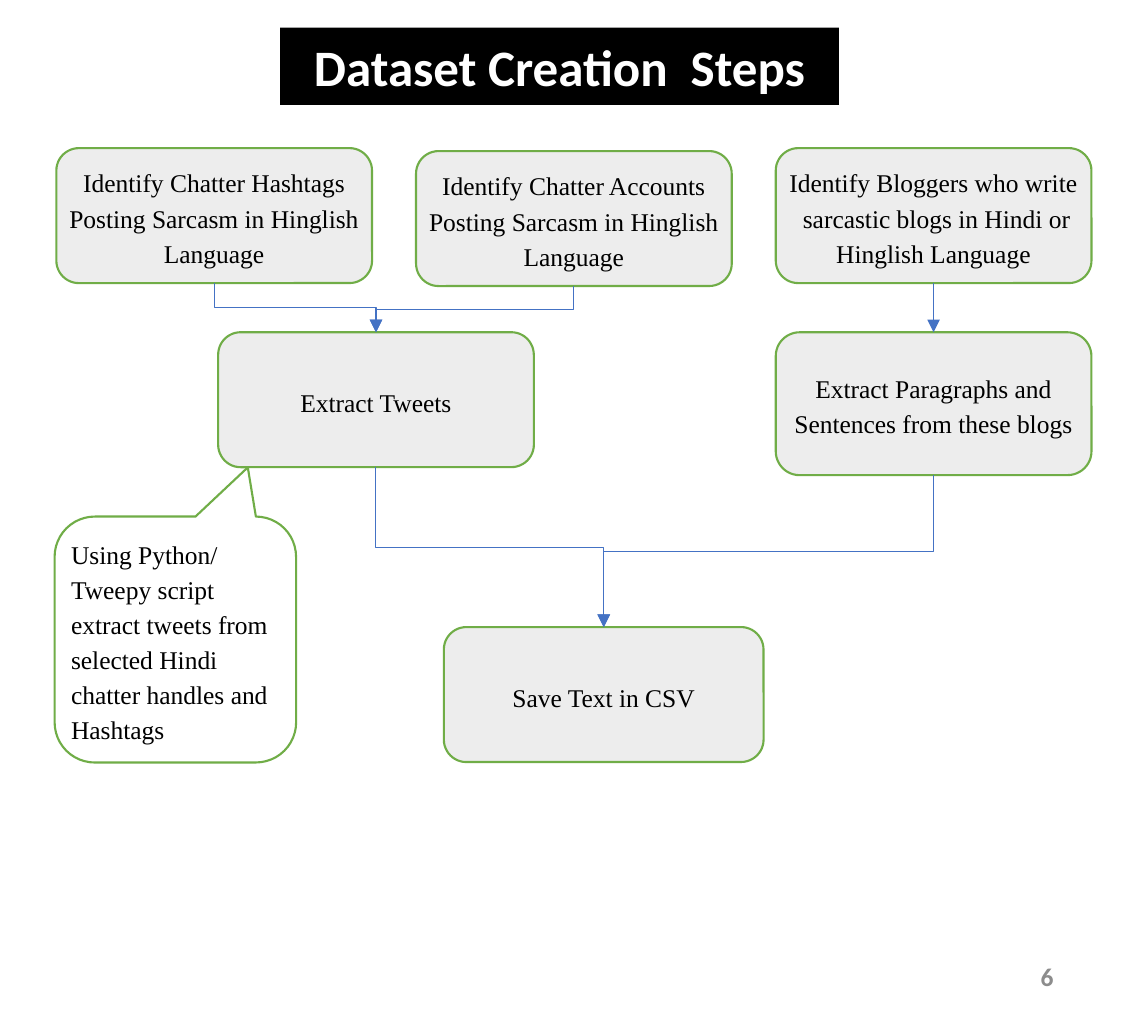
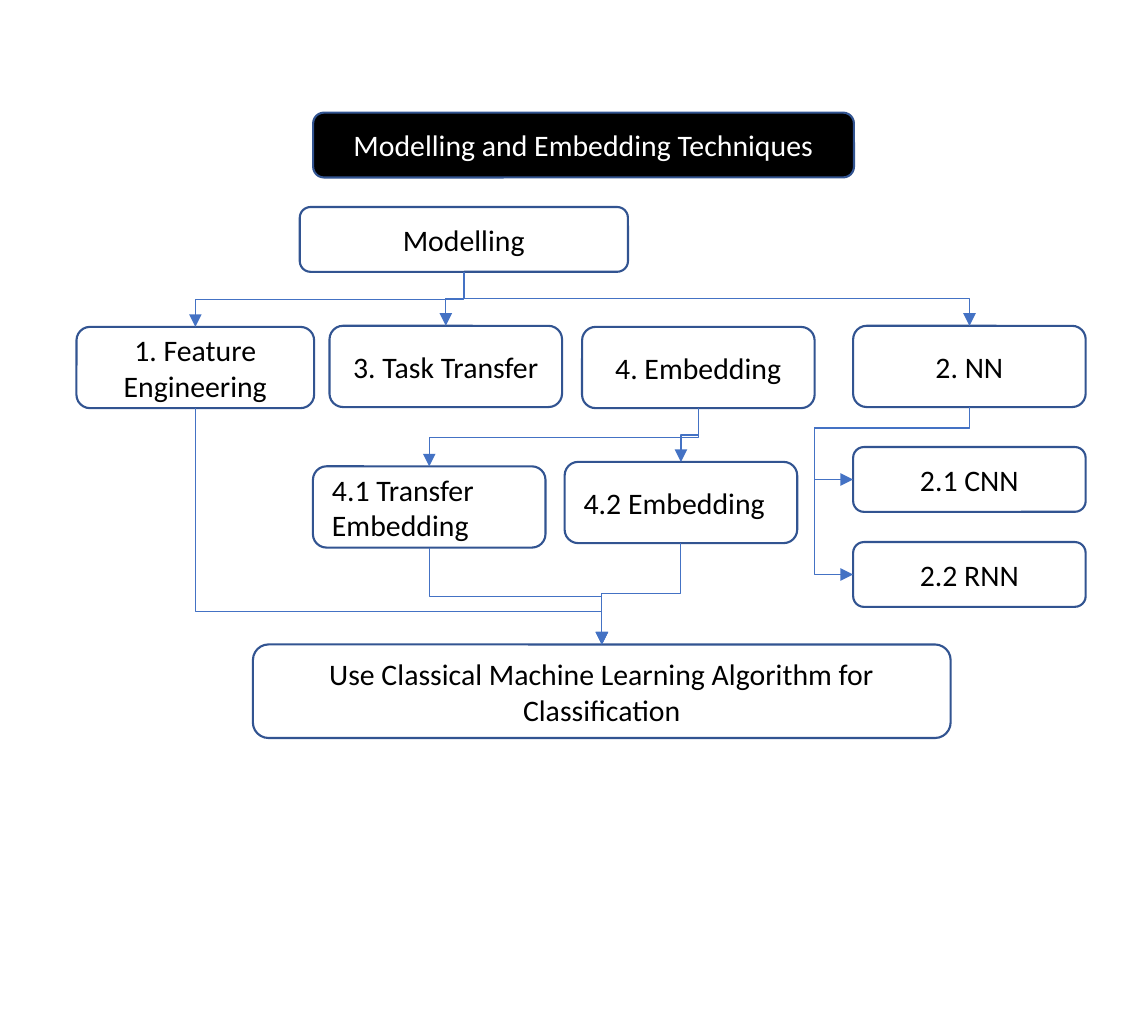
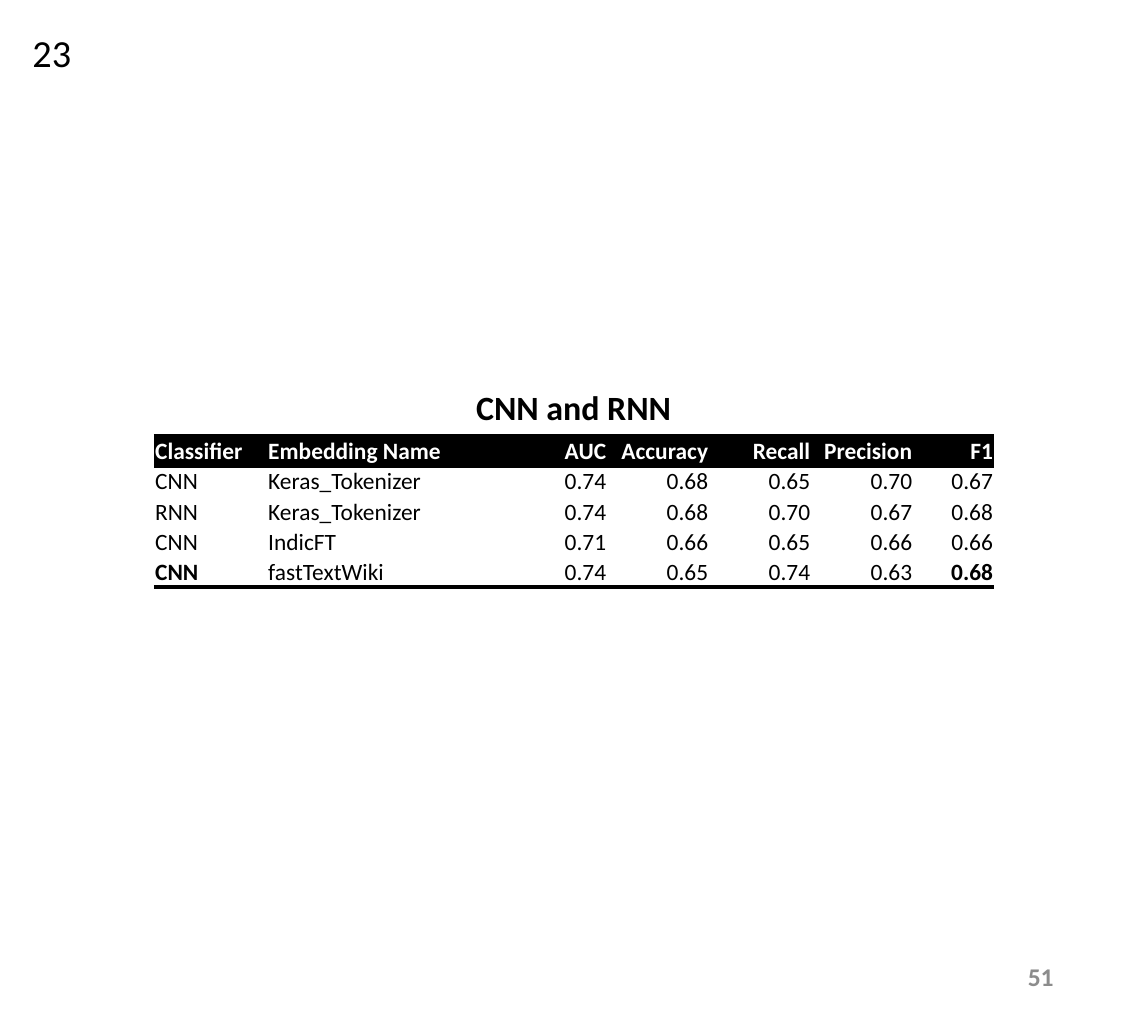
from pptx import Presentation
from pptx.dml.color import RGBColor
from pptx.enum import shapes, text
from pptx.oxml import ns, xmlchemy
from pptx.util import Pt

BLACK, WHITE, GREY = "000000", "FFFFFF", "8C8C8C"
PALE, GREEN, NAVY, BLUE = "EDEDED", "70AD47", "325491", "4472C4"
SANS, SERIF = "Calibri", "Times New Roman"
LEFT, CENTER, RIGHT = text.PP_ALIGN.LEFT, text.PP_ALIGN.CENTER, text.PP_ALIGN.RIGHT
MIDDLE, BOTTOM = text.MSO_ANCHOR.MIDDLE, text.MSO_ANCHOR.BOTTOM
KIND = shapes.MSO_SHAPE
TOP_SITE, LEFT_SITE, BOTTOM_SITE = 0, 1, 2
NO_TABLE_STYLE = "{2D5ABB26-0587-4C30-8999-92F81FD0307C}"

# Boxes: key -> (words, left, top, width, height), in points
STEP_W, STEP_H, STEP_GAP = 148.5, 63.5, 20.7
STEP_X = [26.5 + i * (STEP_W + STEP_GAP) for i in range(3)]
STEPS = {
    "hashtags": ("Identify Chatter Hashtags Posting Sarcasm in Hinglish Language",
                 STEP_X[0], 69.7, STEP_W, STEP_H),
    "accounts": ("Identify Chatter Accounts Posting Sarcasm in Hinglish Language",
                 STEP_X[1], 71.1, STEP_W, STEP_H),
    "bloggers": ("Identify Bloggers who write  sarcastic blogs in Hindi or Hinglish Language",
                 STEP_X[2], 69.7, STEP_W, STEP_H),
    "tweets": ("Extract Tweets", 102.6, 156.3, STEP_W, STEP_H),
    "paragraphs": ("Extract Paragraphs and Sentences from these blogs",
                   STEP_X[2], 156.3, STEP_W, 67.2),
    "save": ("Save Text in CSV", 208.8, 295, 150.4, STEP_H),
}
STEP_LINKS = [("hashtags", "tweets"), ("accounts", "tweets"), ("bloggers", "paragraphs"),
              ("tweets", "save"), ("paragraphs", "save")]
SCRIPT_NOTE = ("Using Python/ Tweepy script extract tweets from selected Hindi "
               "chatter handles and Hashtags")

MODEL_W, MODEL_H, LOW_H, NN_X = 109.4, 38.2, 30.5, 401.3
MODEL_TITLE_PLACE = (147.3, 53, 254.4, LOW_H)
MODELS = {
    "modelling": ("Modelling", 141, 97.4, 154.4, LOW_H),
    "features": ("1. Feature Engineering", 36, 153.8, 111.8, MODEL_H),
    "task": ("3. Task Transfer", 155, 153.3, MODEL_W, MODEL_H),
    "embedding": ("4. Embedding", 273.8, 153.8, MODEL_W, MODEL_H),
    "nn": ("2. NN", NN_X, 153.3, MODEL_W, MODEL_H),
    "transfer": ("4.1 Transfer Embedding", 147.2, 219.4, MODEL_W, MODEL_H),
    "embedding2": ("4.2 Embedding", 265.6, 217.3, MODEL_W, MODEL_H),
    "cnn": ("2.1 CNN", NN_X, 210.3, MODEL_W, LOW_H),
    "rnn": ("2.2 RNN", NN_X, 255, MODEL_W, LOW_H),
    "classify": ("Use Classical Machine Learning Algorithm for Classification",
                 119, 303.2, 328.2, 44),
}
LEFT_ALIGNED = {"transfer", "embedding2"}
# Links: source, target, optional bend positions; two bends enter from the left
MODEL_LINKS = [
    ("modelling", "features"), ("modelling", "task"), ("modelling", "nn"),
    ("embedding", "transfer"), ("embedding", "embedding2"),
    ("nn", "cnn", 0.28, 1.33), ("nn", "rnn", 0.13, 1.33),
    ("transfer", "classify"), ("embedding2", "classify"),
    ("features", "classify", 0.86),
]

SCORES = [
    ("Classifier", "Embedding Name", "AUC", "Accuracy", "Recall", "Precision", "F1"),
    ("CNN", "Keras_Tokenizer", "0.74", "0.68", "0.65", "0.70", "0.67"),
    ("RNN", "Keras_Tokenizer", "0.74", "0.68", "0.70", "0.67", "0.68"),
    ("CNN", "IndicFT", "0.71", "0.66", "0.65", "0.66", "0.66"),
    ("CNN", "fastTextWiki", "0.74", "0.65", "0.74", "0.63", "0.68"),
]
SCORE_WIDTHS = [53.2, 112.2, 48, 48, 48, 48, 38]
SCORE_ROW = 14.25


def rgb(value):
    return RGBColor.from_string(value)


def points(*values):
    return [Pt(value) for value in values]


def add_xml(parent, tag, **attributes):
    child = xmlchemy.OxmlElement(tag)
    for name, value in attributes.items():
        child.set(name, str(value))
    parent.append(child)
    return child


def paint(shape, fill):
    shape.fill.solid()
    shape.fill.fore_color.rgb = rgb(fill)


def write(frame, words, size, color=BLACK, font=SANS, bold=False, align=CENTER, spacing=None):
    frame.text = words
    paragraph = frame.paragraphs[0]
    paragraph.alignment = align
    paragraph.line_spacing = spacing
    paragraph.font.name, paragraph.font.size = font, Pt(size)
    paragraph.font.bold, paragraph.font.color.rgb = bold, rgb(color)


def add_title(slide, words, place, size, color=BLACK, bold=True):
    title = slide.shapes.title
    title.left, title.top, title.width, title.height = points(*place)
    write(title.text_frame, words, size, color, bold=bold)
    title.text_frame.auto_size = text.MSO_AUTO_SIZE.NONE
    title.text_frame.vertical_anchor = MIDDLE
    return title


def add_label(slide, words, place, wrap=True, **style):
    frame = slide.shapes.add_textbox(*points(*place)).text_frame
    frame.word_wrap = wrap
    frame.vertical_anchor = MIDDLE
    write(frame, words, **style)


def add_page_number(slide, number):
    add_label(slide, number, (381, 446.4, 121.7, 26), size=12, color=GREY, bold=True, align=RIGHT)


def add_plate(slide, kind, place, fill, line):
    plate = slide.shapes.add_shape(kind, *points(*place))
    plate.shadow.inherit = False
    paint(plate, fill)
    plate.line.color.rgb = rgb(line)
    plate.line.width = Pt(1)
    return plate


def add_box(slide, kind, words, place, fill, line, margins=None, **style):
    box = add_plate(slide, kind, place, fill, line)
    frame = box.text_frame
    frame.word_wrap = True
    frame.vertical_anchor = MIDDLE
    if margins:
        frame.margin_left = frame.margin_right = Pt(margins[0])
        frame.margin_top = frame.margin_bottom = Pt(margins[1])
    write(frame, words, **style)
    return box


def link(slide, source, target, *bends):
    """Arrow leaving the bottom of source, glued at both ends."""
    from_left = len(bends) == 2
    aligned = source.left + source.width // 2 == target.left + target.width // 2
    straight = aligned and not from_left
    kind = shapes.MSO_CONNECTOR.STRAIGHT if straight else shapes.MSO_CONNECTOR.ELBOW
    arrow = slide.shapes.add_connector(kind, 0, 0, 0, 0)
    arrow.begin_connect(source, BOTTOM_SITE)
    arrow.end_connect(target, LEFT_SITE if from_left else TOP_SITE)
    properties = arrow.element.spPr
    if not straight:
        turn_downward(arrow, properties)
        geometry = properties.find(ns.qn("a:prstGeom"))
        geometry.set("prst", "bentConnector4" if from_left else "bentConnector3")
        guides = geometry.find(ns.qn("a:avLst"))
        for i, bend in enumerate(bends, 1):
            add_xml(guides, "a:gd", name=f"adj{i}", fmla=f"val {round(bend * 100000)}")
    arrow.line.color.rgb = rgb(BLUE)
    arrow.line.width = Pt(0.5)
    add_xml(properties.find(ns.qn("a:ln")), "a:tailEnd", type="triangle")
    add_xml(properties, "a:effectLst")


def turn_downward(arrow, properties):
    """Rotate an elbow so that its first leg runs down rather than across."""
    x1, y1, x2, y2 = arrow.begin_x, arrow.begin_y, arrow.end_x, arrow.end_y
    across, down = abs(x2 - x1), y2 - y1
    arrow.left, arrow.top = (x1 + x2 - down) // 2, (y1 + y2 - across) // 2
    arrow.width, arrow.height = down, across
    frame = properties.find(ns.qn("a:xfrm"))
    rightward = x2 > x1
    frame.set("rot", str((270 if rightward else 90) * 60000))
    frame.set("flipH", str(int(rightward)))
    frame.set("flipV", "0")


def add_links(slide, boxes, links):
    for source, target, *bends in links:
        link(slide, boxes[source], boxes[target], *bends)


def add_rule(cell, tag):
    properties = cell._tc.get_or_add_tcPr()
    rule = add_xml(properties, tag, w=Pt(2))
    add_xml(add_xml(rule, "a:solidFill"), "a:srgbClr", val=BLACK)
    properties.insert(0, rule)


def add_scores(slide, left, top):
    frame = slide.shapes.add_table(len(SCORES), len(SCORE_WIDTHS), *points(
        left, top, sum(SCORE_WIDTHS), SCORE_ROW * len(SCORES)))
    table = frame.table
    table.first_row = table.horz_banding = False
    table._tbl.tblPr.find(ns.qn("a:tableStyleId")).text = NO_TABLE_STYLE
    for column, width in zip(table.columns, SCORE_WIDTHS):
        column.width = Pt(width)
    last = len(SCORES) - 1
    for r, row in enumerate(SCORES):
        table.rows[r].height = Pt(SCORE_ROW)
        for c, words in enumerate(row):
            cell = table.cell(r, c)
            header = r == 0
            cell.margin_left = cell.margin_right = cell.margin_top = Pt(0.6)
            cell.margin_bottom = 0
            cell.vertical_anchor = BOTTOM
            best = r == last and c in (0, len(row) - 1)
            write(cell.text_frame, words, 11, WHITE if header else BLACK,
                  bold=header or best, align=LEFT if c < 2 else RIGHT)
            paint(cell, BLACK if header else WHITE)
            if header or r == last:
                add_rule(cell, "a:lnB")
            if header:
                add_rule(cell, "a:lnT")


def build_dataset(slide):
    title = add_title(slide, "Dataset Creation  Steps", (131.8, 13, 262.8, 36.3), 24, WHITE)
    paint(title, BLACK)
    style = dict(line=GREEN, margins=(2.2, 1.4), size=12, font=SERIF, spacing=1.15)
    callout = add_box(slide, KIND.ROUNDED_RECTANGULAR_CALLOUT, SCRIPT_NOTE,
                      (25.7, 243, 113.6, 115.7), WHITE, align=LEFT, **style)
    callout.adjustments[0], callout.adjustments[1] = 0.3, -0.7
    boxes = {key: add_box(slide, KIND.FLOWCHART_ALTERNATE_PROCESS, words, place, PALE, **style)
             for key, (words, *place) in STEPS.items()}
    add_links(slide, boxes, STEP_LINKS)
    add_page_number(slide, "6")


def build_modelling(slide):
    title = add_title(slide, "Modelling and Embedding Techniques", MODEL_TITLE_PLACE, 14, WHITE,
                      bold=False)
    plate = add_plate(slide, KIND.ROUNDED_RECTANGLE, MODEL_TITLE_PLACE, BLACK, NAVY)
    title.element.addprevious(plate.element)  # the plate goes behind the title
    boxes = {key: add_box(slide, KIND.ROUNDED_RECTANGLE, words, place, WHITE, NAVY, size=14,
                          align=LEFT if key in LEFT_ALIGNED else CENTER)
             for key, (words, *place) in MODELS.items()}
    add_links(slide, boxes, MODEL_LINKS)


def build_scores(slide):
    add_title(slide, "CNN and RNN", (121.9, 178.2, 295.9, 26.6), 16)
    add_label(slide, "23", (8.2, 10.2, 33, 29), wrap=False, size=18, align=LEFT)
    add_scores(slide, 72.4, 205)
    add_page_number(slide, "51")


def main():
    deck = Presentation()
    deck.slide_width, deck.slide_height = points(540, 481.7)
    title_only = deck.slide_layouts[5]
    for build in (build_dataset, build_modelling, build_scores):
        build(deck.slides.add_slide(title_only))
    deck.save("out.pptx")


if __name__ == "__main__":
    main()
